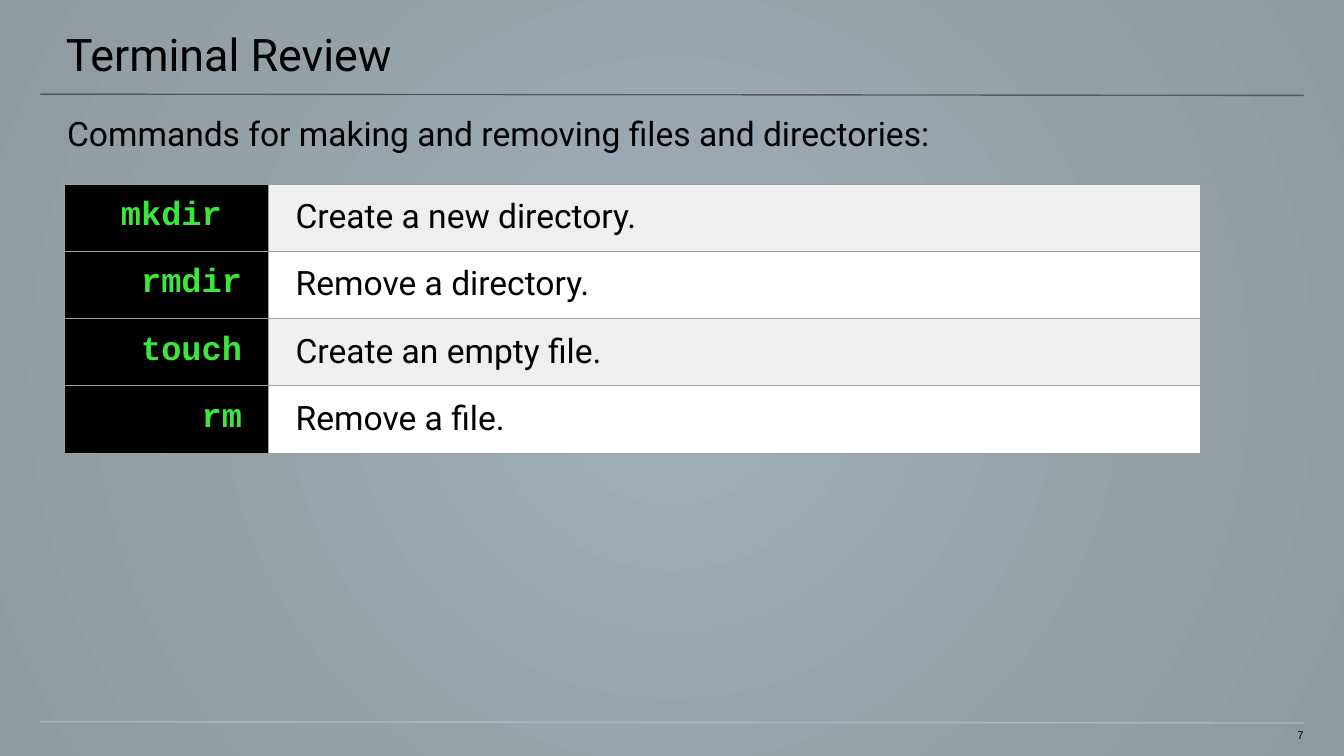
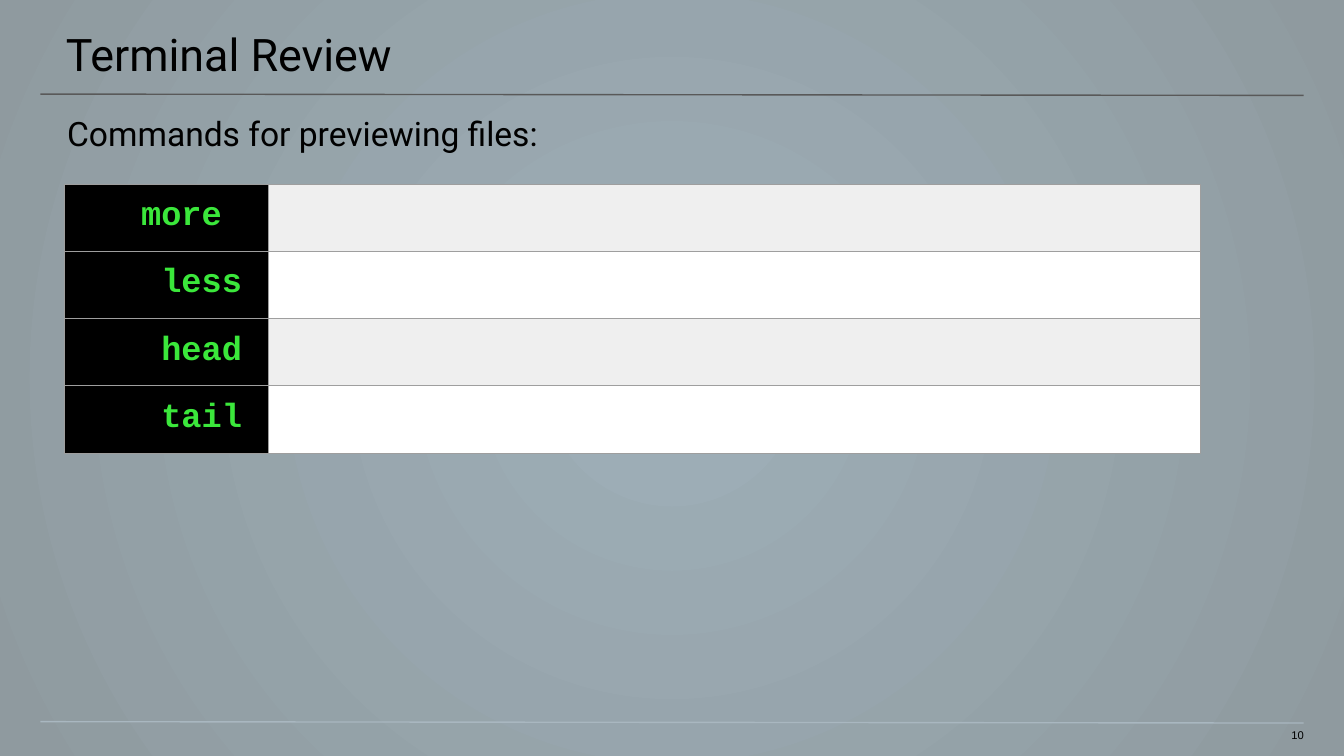
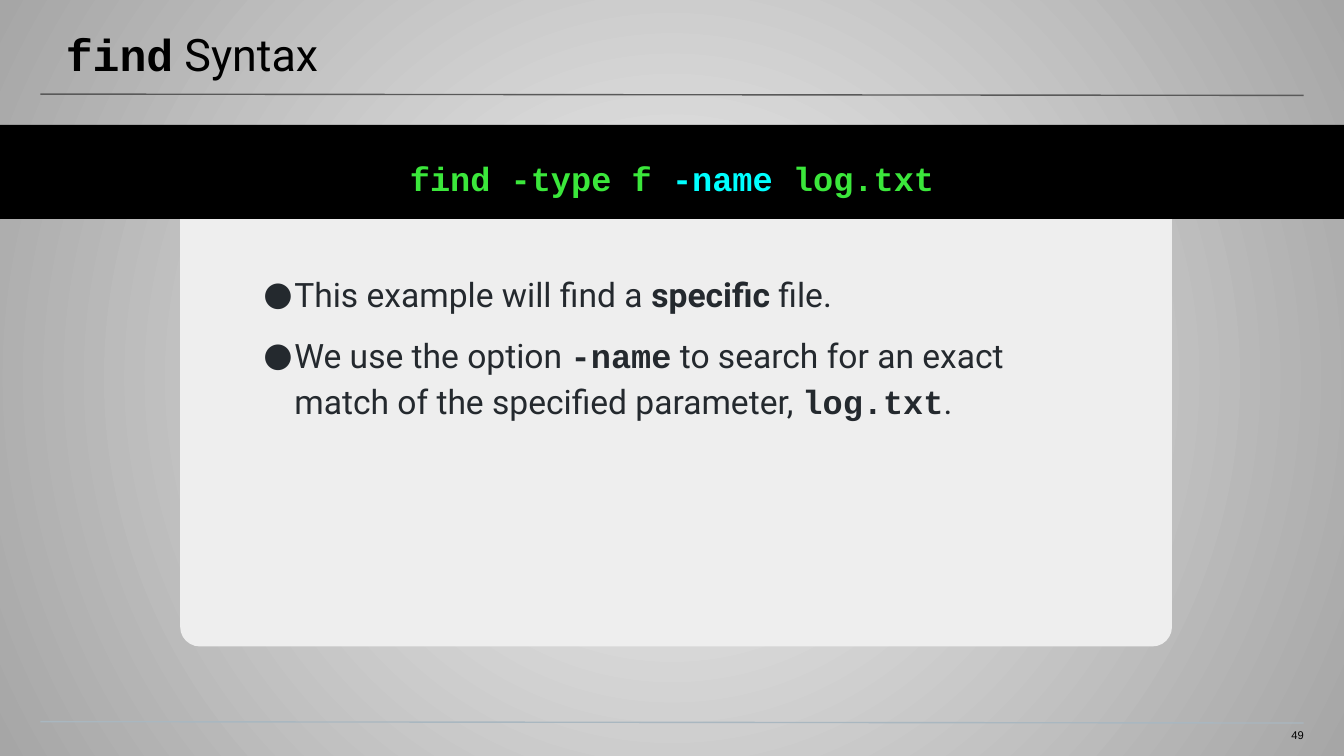
"""Build three slides that review terminal commands and the syntax of find."""
import lxml.etree
import pptx
import pptx.dml.color
import pptx.enum.shapes
import pptx.enum.text
import pptx.oxml
import pptx.oxml.ns
import pptx.util

WIDTH = 10
HEIGHT = WIDTH * 9 / 16
BLACK, WHITE, STRIPE, CARD = "000000", "FFFFFF", "EFEFEF", "EEEEEE"
GREEN, CYAN, INK = "3BE73B", "00FFFF", "24292E"
RULE, FOOT_RULE, GRID = "595959", "A9B7C0", "9E9E9E"
SANS, MONO = "Roboto", "Courier New"
BLUE_GREY = (("9EAFB8", 32), ("8F9A9F", 100))
GREY = (("F2F2F2", 100), ("A6A6A6", 100))
COLUMNS, ROW = (1.52, 6.93), 0.47
PLAIN_TABLE = "{2D5ABB26-0587-4C30-8999-92F81FD0307C}"
CARD_LEFT, CARD_WIDTH = 1.34, 7.38
CODE = {"font": MONO, "bold": True}

REVIEWS = [
    (7, "Commands for making and removing files and directories:", [
        ("mkdir ", "Create a new directory."),
        ("rmdir", "Remove a directory."),
        ("touch", "Create an empty file."),
        ("rm", "Remove a file."),
    ]),
    (10, "Commands for previewing files:", [
        ("more ", ""), ("less", ""), ("head", ""), ("tail", ""),
    ]),
]
SYNTAX_NUMBER = 49
SYNTAX_TITLE = [("find", CODE), (" Syntax", {})]
SYNTAX_COMMAND = [("find -type f ", {}), ("-name ", {"color": CYAN}), ("log.txt", {})]
SYNTAX_POINTS = [
    [("This example will find a ", {}), ("specific", {"bold": True}), (" file.", {})],
    [("We use the option ", {}), ("-name", CODE),
     (" to search for an exact match of the specified parameter, ", {}),
     ("log.txt", CODE), (".", {})],
]


def inches(*values):
    return [pptx.util.Inches(value) for value in values]


def rgb(color):
    return pptx.dml.color.RGBColor.from_string(color)


def add_element(parent, tag, **attributes):
    element = lxml.etree.SubElement(parent, pptx.oxml.ns.qn(tag))
    for name, value in attributes.items():
        element.set(name, str(value))
    return element


def add_bullet(paragraph, color, font):
    properties = paragraph._p.get_or_add_pPr()
    left, indent = inches(0.35, -0.23)
    properties.set("marL", str(left))
    properties.set("indent", str(indent))
    add_element(add_element(properties, "a:buClr"), "a:srgbClr", val=color)
    add_element(properties, "a:buFont", typeface=font)
    add_element(properties, "a:buChar", char="●")


def write(frame, paragraphs, size=18, font=SANS, color=BLACK, bold=False, align="LEFT",
          spacing=None, before=0, bullet=False):
    """Fill a text frame with paragraphs, each a string or a list of (text, format) runs."""
    for index, runs in enumerate(paragraphs):
        paragraph = frame.paragraphs[0] if index == 0 else frame.add_paragraph()
        paragraph.alignment = getattr(pptx.enum.text.PP_ALIGN, align)
        if spacing:
            paragraph.line_spacing = spacing
        if index and before:
            paragraph.space_before = pptx.util.Pt(before)
        if bullet:
            add_bullet(paragraph, color, font)
        for text, style in [(runs, {})] if isinstance(runs, str) else runs:
            run = paragraph.add_run()
            run.text = text
            run.font.size = pptx.util.Pt(size)
            run.font.name = style.get("font", font)
            run.font.bold = style.get("bold", bold)
            run.font.color.rgb = rgb(style.get("color", color))


def set_insets(holder, insets):
    holder.margin_left, holder.margin_top, holder.margin_right, holder.margin_bottom = inches(*insets)


def fill_frame(shape, paragraphs, insets, **style):
    frame = shape.text_frame
    frame.word_wrap = True
    frame.vertical_anchor = pptx.enum.text.MSO_ANCHOR.TOP
    set_insets(frame, insets)
    write(frame, paragraphs, **style)


def add_text(slide, box, paragraphs, insets, **style):
    fill_frame(slide.shapes.add_textbox(*inches(*box)), paragraphs, insets, **style)


def add_block(slide, preset, box, color):
    kind = getattr(pptx.enum.shapes.MSO_SHAPE, preset)
    shape = slide.shapes.add_shape(kind, *inches(*box))
    shape.shadow.inherit = False
    shape.fill.solid()
    shape.fill.fore_color.rgb = rgb(color)
    shape.line.fill.background()
    return shape


def add_rule(slide, top, color):
    straight = pptx.enum.shapes.MSO_CONNECTOR.STRAIGHT
    rule = slide.shapes.add_connector(straight, *inches(0.3, top, WIDTH - 0.3, top + 0.01))
    rule.line.color.rgb = rgb(color)
    rule.line.width = pptx.util.Pt(0.75)
    add_element(rule._element.spPr, "a:effectLst")


def set_background(slide, stops):
    slide.background.fill.gradient()
    gradient = slide.element.find(".//" + pptx.oxml.ns.qn("a:gradFill"))
    for child in list(gradient):
        gradient.remove(child)
    stop_list = add_element(gradient, "a:gsLst")
    for position, (color, opacity) in zip((0, 100000), stops):
        stop = add_element(stop_list, "a:gs", pos=position)
        tint = add_element(stop, "a:srgbClr", val=color)
        if opacity < 100:
            add_element(tint, "a:alpha", val=opacity * 1000)
    circle = add_element(gradient, "a:path", path="circle")
    add_element(circle, "a:fillToRect", **dict.fromkeys("ltrb", 50000))


def add_slide(presentation, stops, title, number):
    slide = presentation.slides.add_slide(presentation.slide_layouts[6])
    set_background(slide, stops)
    add_rule(slide, 0.7, RULE)
    add_rule(slide, 5.37, FOOT_RULE)
    add_text(slide, (-0.01, 0, 10.03, 0.58), [title], (0.5, 0.2, 0.3, 0.1), size=24)
    add_text(slide, (9.41, 5.42, 0.29, 0.12), [str(number)], (0, 0, 0, 0.1),
             size=6, font="Arial", align="RIGHT")
    return slide


def style_cell(cell, text, fill, **style):
    cell.fill.solid()
    cell.fill.fore_color.rgb = rgb(fill)
    if text:
        set_insets(cell, (0.2, 0.1, 0.2, 0.1))
        write(cell.text_frame, [text], **style)
    properties = cell._tc.get_or_add_tcPr()
    for index, side in enumerate(("a:lnL", "a:lnR", "a:lnT", "a:lnB")):
        border = add_element(properties, side, w=pptx.util.Pt(0.75))
        add_element(add_element(border, "a:solidFill"), "a:srgbClr", val=GRID)
        properties.insert(index, border)


def add_command_table(slide, commands):
    box = inches(0.48, 1.37, sum(COLUMNS), ROW * len(commands))
    table = slide.shapes.add_table(len(commands), len(COLUMNS), *box).table
    table.first_row = table.horz_banding = False
    table._tbl.find(".//" + pptx.oxml.ns.qn("a:tableStyleId")).text = PLAIN_TABLE
    for column, width in zip(table.columns, inches(*COLUMNS)):
        column.width = width
    for index, (command, meaning) in enumerate(commands):
        table.rows[index].height = pptx.util.Inches(ROW)
        style_cell(table.cell(index, 0), command, BLACK, color=GREEN, align="RIGHT", **CODE)
        style_cell(table.cell(index, 1), meaning, WHITE if index % 2 else STRIPE)


def add_review(presentation, number, subtitle, commands):
    slide = add_slide(presentation, BLUE_GREY, "Terminal Review", number)
    add_text(slide, (0, 0.74, WIDTH, 0.4), [subtitle], (0.5, 0.1, 0.5, 0))
    add_command_table(slide, commands)


def add_syntax(presentation):
    slide = add_slide(presentation, GREY, SYNTAX_TITLE, SYNTAX_NUMBER)
    card = add_block(slide, "ROUND_2_SAME_RECTANGLE", (CARD_LEFT, 1.57, CARD_WIDTH, 3.24), CARD)
    card.rotation = 180
    card.adjustments[0], card.adjustments[1] = 0.045, 0
    band = add_block(slide, "RECTANGLE", (0, 0.93, WIDTH, 0.7), BLACK)
    fill_frame(band, [SYNTAX_COMMAND], (0.1, 0.2, 0.1, 0.2),
               color=GREEN, align="CENTER", spacing=1.15, **CODE)
    add_text(slide, (CARD_LEFT, 1.99, CARD_WIDTH, 1.6), SYNTAX_POINTS, (0.5, 0, 0.5, 0),
             color=INK, spacing=1.15, before=8, bullet=True)


def main():
    presentation = pptx.Presentation()
    presentation.slide_width, presentation.slide_height = inches(WIDTH, HEIGHT)
    for review in REVIEWS:
        add_review(presentation, *review)
    add_syntax(presentation)
    presentation.save("out.pptx")


if __name__ == "__main__":
    main()
